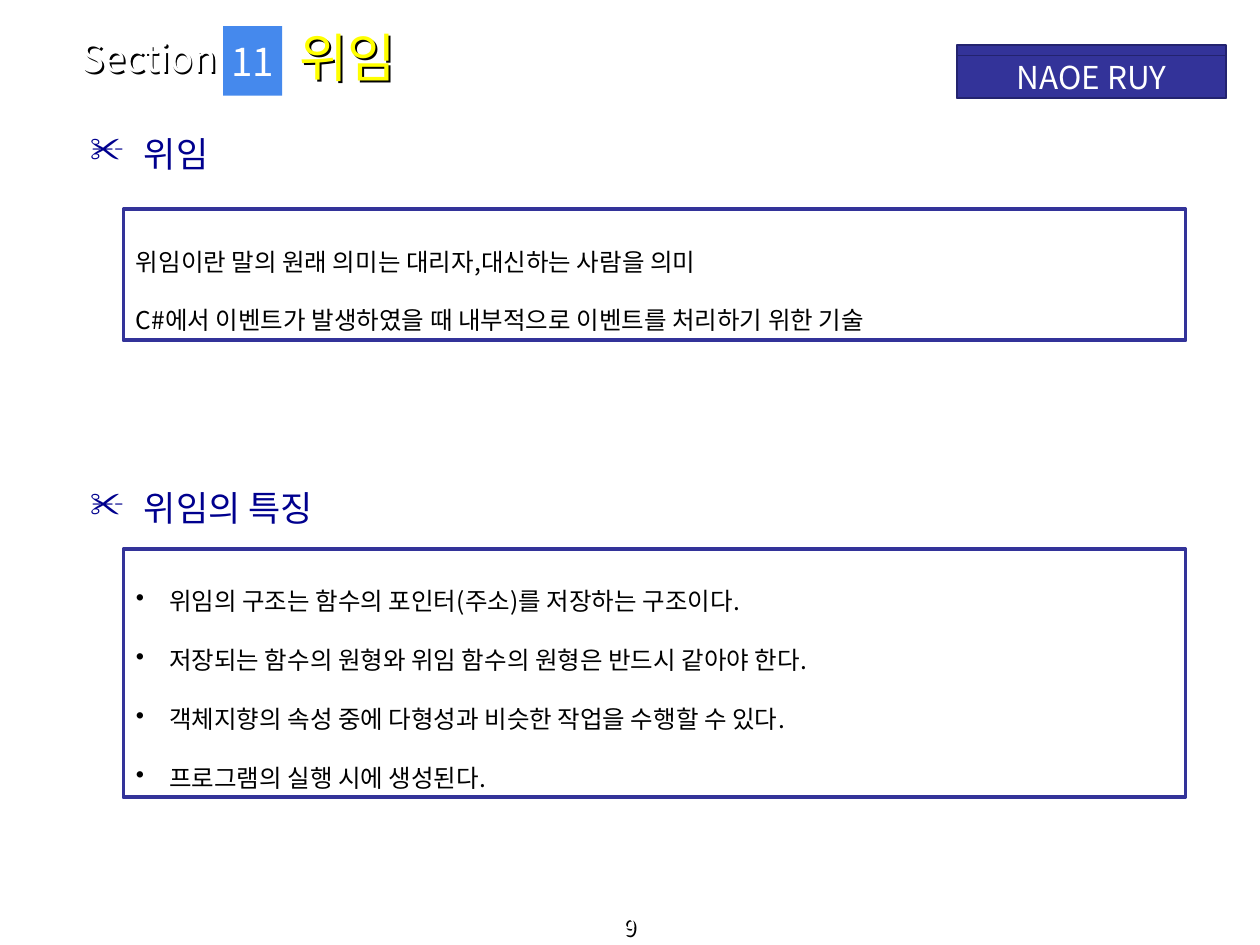
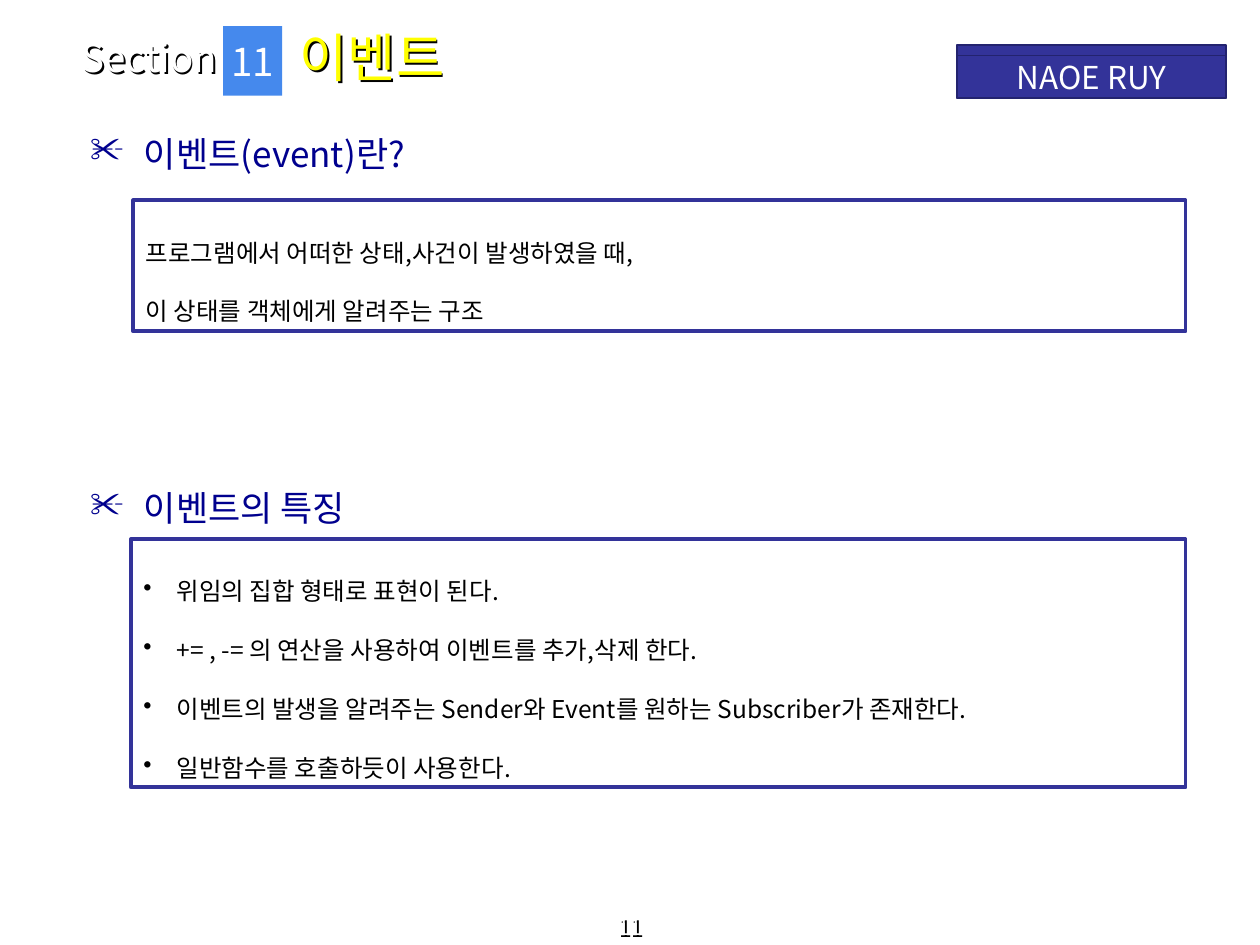
from dataclasses import dataclass

from lxml.etree import SubElement
from pptx import Presentation
from pptx.dml.color import RGBColor
from pptx.enum.shapes import MSO_SHAPE as Shape
from pptx.enum.text import MSO_ANCHOR as Anchor, PP_ALIGN as Align
from pptx.oxml.ns import qn
from pptx.util import Cm, Pt

FONT = "Noto Sans CJK KR"
INDIGO = RGBColor(0x33, 0x33, 0x99)
DARK_INDIGO = RGBColor(0x23, 0x23, 0x6F)
NAVY = RGBColor(0x00, 0x00, 0x8E)
SKY = RGBColor(0x45, 0x89, 0xED)
YELLOW = RGBColor(0xFF, 0xFF, 0x00)
WHITE = RGBColor(0xFF, 0xFF, 0xFF)
BLACK = RGBColor(0x00, 0x00, 0x00)

SINGLE, DOUBLE = 1.2, 2.4  # line pitch as a multiple of the text size
BOX_RIGHT = 23.9
HEADING_GAP = Pt(178.4)


@dataclass(frozen=True)
class Area:
    """A rectangle in centimetres."""
    left: float
    top: float
    width: float
    height: float

    def lengths(self) -> tuple:
        return Cm(self.left), Cm(self.top), Cm(self.width), Cm(self.height)


@dataclass(frozen=True)
class TextStyle:
    size: float
    color: RGBColor
    align: Align = Align.LEFT
    anchor: Anchor = Anchor.MIDDLE
    pitch: float = SINGLE
    top_inset: float = 0
    bottom_inset: float = 0
    wrap: bool = True
    bullet: str = ""
    margin: float = 0
    hanging: float = 0


@dataclass(frozen=True)
class Block:
    """A heading with the framed box below it."""
    heading: str
    left: float
    top: float
    height: float
    lines: tuple[str, ...]


@dataclass(frozen=True)
class Topic:
    title: str
    page_number: int
    definition: Block
    features: Block


BAND = TextStyle(18, WHITE, Align.CENTER)
SECTION = TextStyle(22, WHITE)
NUMBER = TextStyle(22, WHITE, Align.CENTER, wrap=False)
TITLE = TextStyle(30, YELLOW)
FOOTER = TextStyle(13, WHITE, Align.CENTER, Anchor.BOTTOM, bottom_inset=0.1)
HEADING = TextStyle(20, NAVY, anchor=Anchor.TOP, top_inset=0.16,
                    bullet="✂", margin=1.35, hanging=1.08)
DEFINITION = TextStyle(14, BLACK, Align.JUSTIFY, Anchor.TOP, DOUBLE, 0.16)
FEATURES = TextStyle(14, BLACK, Align.LEFT, Anchor.TOP, DOUBLE, 0.16,
                     bullet="•", margin=0.67, hanging=0.67)

TOPICS = (
    Topic(
        "위임", 9,
        Block("위임", 2.49, 4.22, 2.64, (
            "위임이란 말의 원래 의미는 대리자,대신하는 사람을 의미",
            "C#에서 이벤트가 발생하였을 때 내부적으로 이벤트를 처리하기 위한 기술",
        )),
        Block("위임의 특징", 2.49, 11.07, 5, (
            "위임의 구조는 함수의 포인터(주소)를 저장하는 구조이다.",
            "저장되는 함수의 원형와 위임 함수의 원형은 반드시 같아야 한다.",
            "객체지향의 속성 중에 다형성과 비슷한 작업을 수행할 수 있다.",
            "프로그램의 실행 시에 생성된다.",
        )),
    ),
    Topic(
        "이벤트", 11,
        Block("이벤트(event)란?", 2.69, 4.04, 2.64, (
            "프로그램에서 어떠한 상태,사건이 발생하였을 때,",
            "이 상태를 객체에게 알려주는 구조",
        )),
        Block("이벤트의 특징", 2.64, 10.87, 5, (
            "위임의 집합 형태로 표현이 된다.",
            "+= , -= 의 연산을 사용하여 이벤트를 추가,삭제 한다.",
            "이벤트의 발생을 알려주는 Sender와 Event를 원하는 Subscriber가 존재한다.",
            "일반함수를 호출하듯이 사용한다.",
        )),
    ),
)


def add_bullet(para, style: TextStyle) -> None:
    properties = para._p.get_or_add_pPr()
    properties.set("marL", str(Cm(style.margin)))
    properties.set("indent", str(-Cm(style.hanging)))
    SubElement(properties, qn("a:buChar"), char=style.bullet)


def write(shape, lines: tuple[str, ...], style: TextStyle) -> None:
    frame = shape.text_frame
    frame.text = "\n".join(lines)
    frame.word_wrap = style.wrap
    frame.vertical_anchor = style.anchor
    frame.margin_top = Cm(style.top_inset)
    frame.margin_bottom = Cm(style.bottom_inset)
    for para in frame.paragraphs:
        para.alignment = style.align
        para.line_spacing = Pt(style.size * style.pitch)
        if style.bullet:
            add_bullet(para, style)
        for span in para.runs:
            span.font.size = Pt(style.size)
            span.font.color.rgb = style.color
            span.font.name = FONT
            SubElement(span._r.get_or_add_rPr(), qn("a:ea"), typeface=FONT)


def add_box(page, area: Area, fill: RGBColor | None = None,
            line: RGBColor | None = None, line_width: float = 1):
    box = page.shapes.add_shape(Shape.RECTANGLE, *area.lengths())
    box.shadow.inherit = False
    if fill is None:
        box.fill.background()
    else:
        box.fill.solid()
        box.fill.fore_color.rgb = fill
    if line is None:
        box.line.fill.background()
    else:
        box.line.color.rgb = line
        box.line.width = Pt(line_width)
    return box


def add_text(page, area: Area, lines: tuple[str, ...], style: TextStyle):
    box = page.shapes.add_textbox(*area.lengths())
    write(box, lines, style)
    return box


def add_shadowed_text(page, area: Area, text: str, style: TextStyle) -> None:
    box = add_text(page, area, (text,), style)
    effects = SubElement(box._element.spPr, qn("a:effectLst"))
    shadow = SubElement(effects, qn("a:outerShdw"), blurRad="0",
                        dist=str(Cm(0.05)), dir="2700000", algn="ctr")
    SubElement(shadow, qn("a:srgbClr"), val=str(BLACK))


def add_frame(page, block: Block, style: TextStyle) -> None:
    area = Area(block.left, block.top, BOX_RIGHT - block.left, block.height)
    write(add_box(page, area, line=INDIGO, line_width=2.25), block.lines, style)


def add_topic(deck, topic: Topic) -> None:
    page = deck.slides.add_slide(deck.slide_layouts[6])

    # Name band, page number and section label
    add_box(page, Area(19.3, 0.91, 5.41, 1.07), INDIGO, DARK_INDIGO)
    add_shadowed_text(page, Area(0, 18.49, 25.4, 0.56),
                      str(topic.page_number), FOOTER)
    add_shadowed_text(page, Area(1.4, 0.69, 4.9, 0.94), "Section", SECTION)
    band = add_box(page, Area(19.3, 1.12, 5.41, 0.86), INDIGO, DARK_INDIGO)
    write(band, ("NAOE RUY",), BAND)

    # Both headings share one text box
    headings = add_text(page, Area(1.3, 2.51, 22.35, 8.79),
                        (topic.definition.heading, topic.features.heading),
                        HEADING)
    headings.text_frame.paragraphs[1].space_before = HEADING_GAP

    # Title, framed boxes and section number
    add_shadowed_text(page, Area(5.79, 0.28, 16.48, 1.73), topic.title, TITLE)
    add_frame(page, topic.definition, DEFINITION)
    add_frame(page, topic.features, FEATURES)
    write(add_box(page, Area(4.5, 0.53, 1.19, 1.4), SKY), ("11",), NUMBER)


def main() -> None:
    deck = Presentation()
    deck.slide_width, deck.slide_height = Cm(25.4), Cm(19.05)
    for topic in TOPICS:
        add_topic(deck, topic)
    deck.save("out.pptx")


if __name__ == "__main__":
    main()
